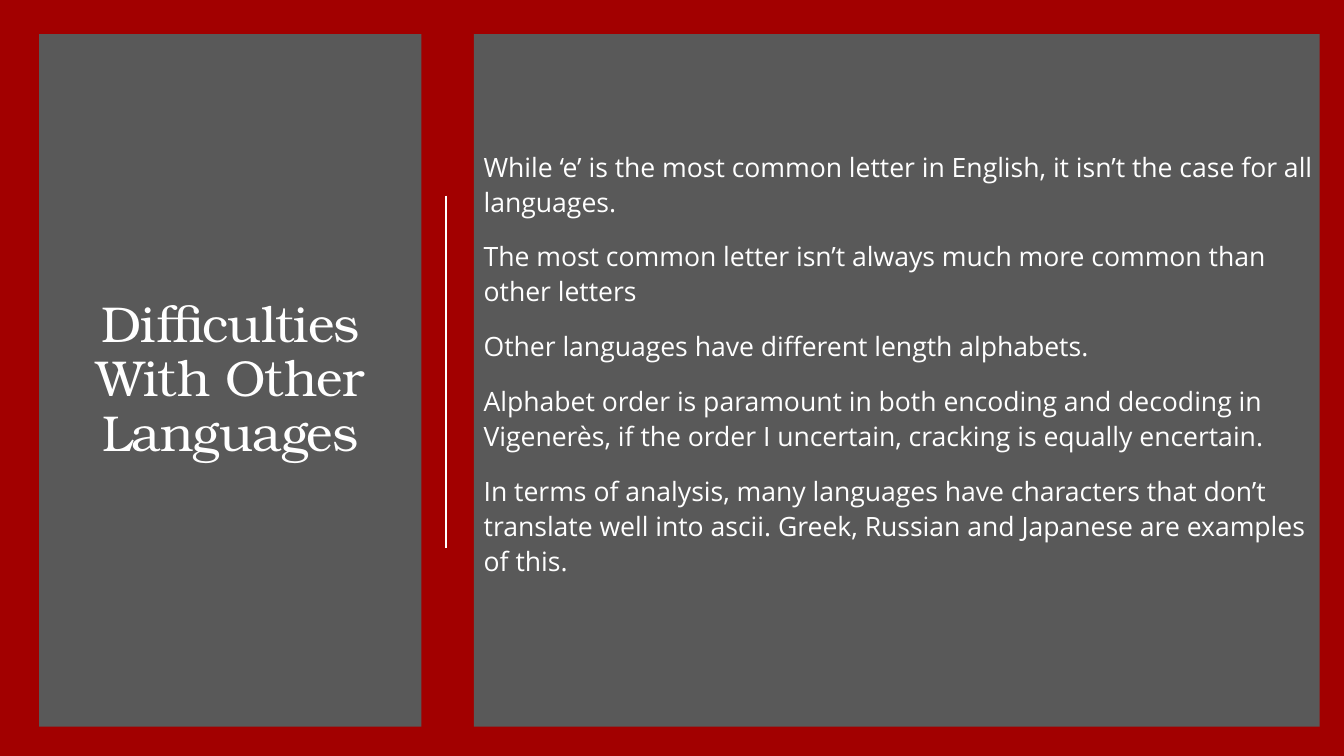
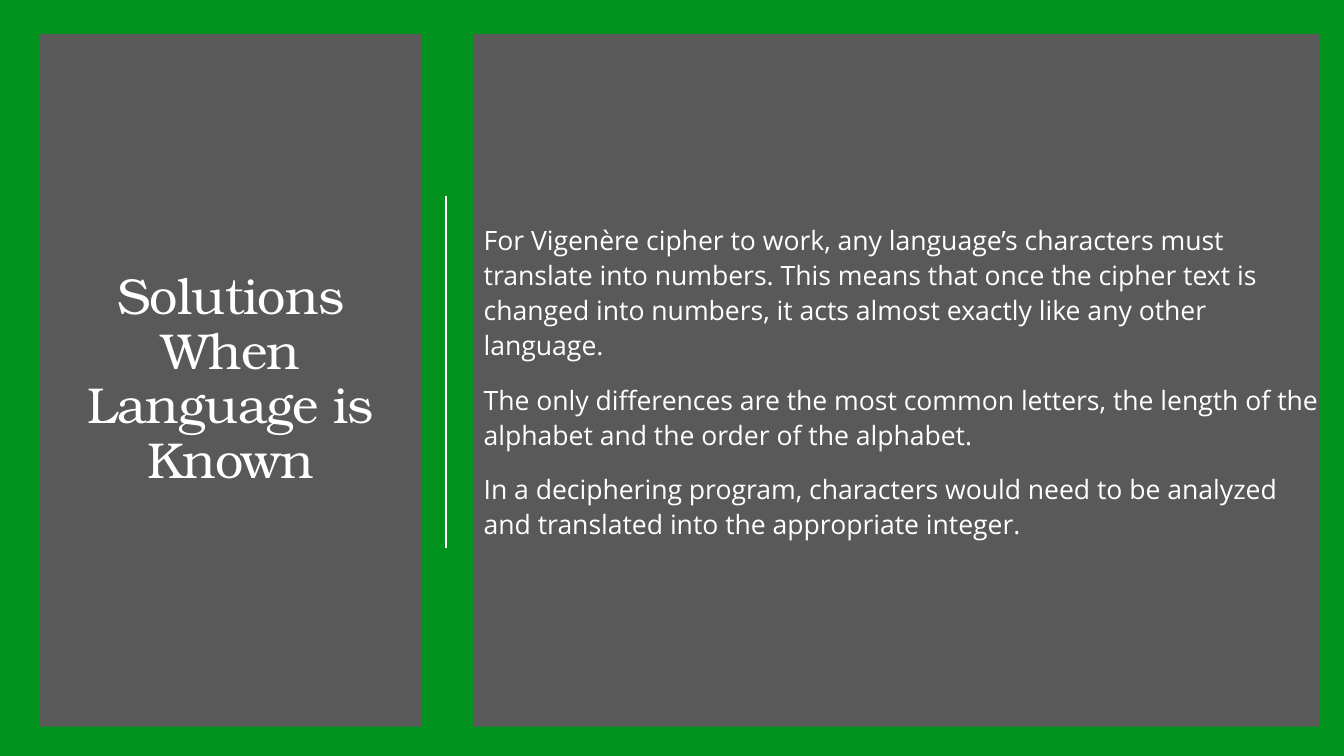
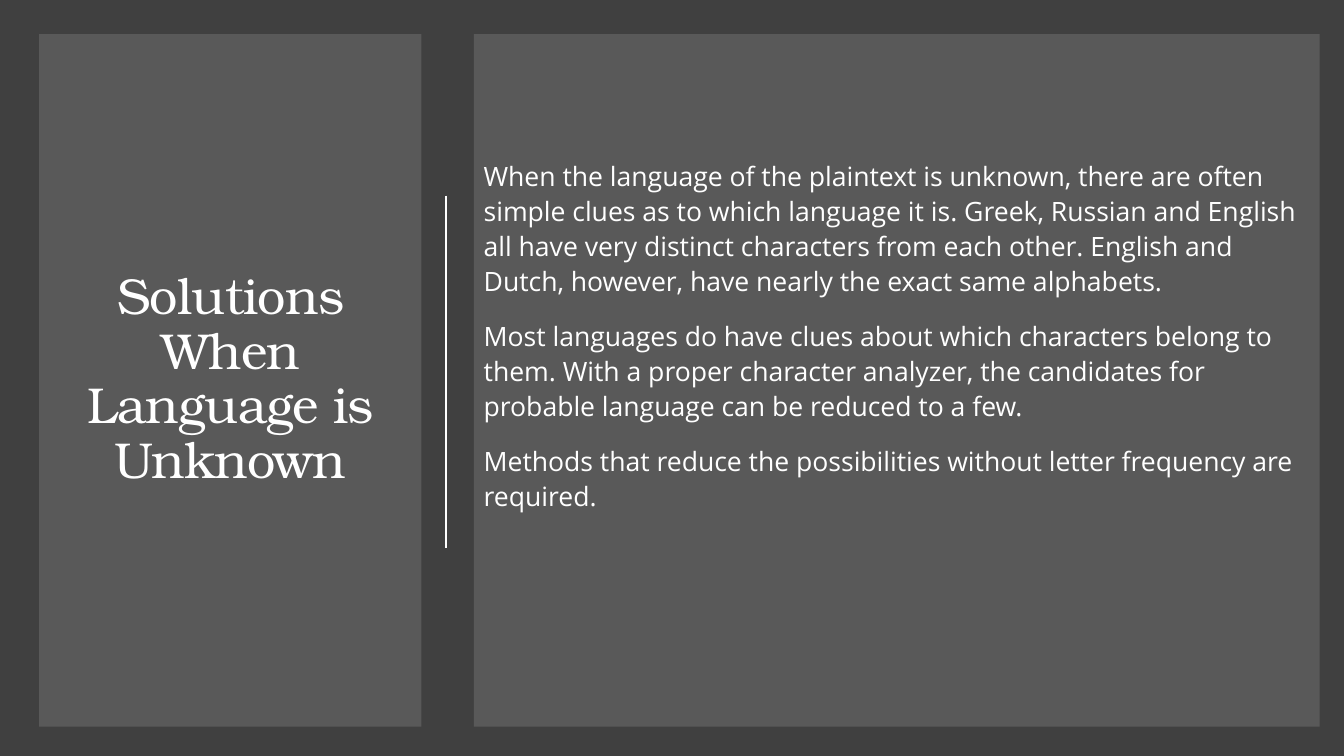
import pptx
import pptx.util
import pptx.dml.color
import pptx.enum.shapes
import pptx.enum.text
import pptx.oxml.ns
import lxml.etree

Cm, Pt = pptx.util.Cm, pptx.util.Pt

COLORS = {
    "red": "A20000",
    "green": "00921C",
    "dark": "404040",
    "panel": "595959",
    "text": "FFFFFF",
}
TITLE_FONT, BODY_FONT = "TeX Gyre Bonum", "Open Sans"

SLIDES = [
    {
        "back": "red",
        "title": "Difficulties With Other Languages",
        "lift": 0.93,
        "body": [
            "While ‘e’ is the most common letter in English, it isn’t the case for all languages.",
            "The most common letter isn’t always much more common than other letters",
            "Other languages have different length alphabets.",
            "Alphabet order is paramount in both encoding and decoding in Vigenerès, "
            "if the order I uncertain, cracking is equally encertain.",
            "In terms of analysis, many languages have characters that don’t translate well "
            "into ascii. Greek, Russian and Japanese are examples of this.",
        ],
    },
    {
        "back": "green",
        "title": "Solutions When Language is Known",
        "lift": 0,
        "body": [
            "For Vigenère cipher to work, any language’s characters must translate into numbers. "
            "This means that once the cipher text is changed into numbers, it acts almost exactly "
            "like any other language.",
            "The only differences are the most common letters, the length of the alphabet "
            "and the order of the alphabet.",
            "In a deciphering program, characters would need to be analyzed and translated "
            "into the appropriate integer.",
        ],
    },
    {
        "back": "dark",
        "title": "Solutions When Language is Unknown",
        "lift": 2.32,
        "body": [
            "When the language of the plaintext is unknown, there are often simple clues as to "
            "which language it is. Greek, Russian and English all have very distinct characters "
            "from each other. English and Dutch, however, have nearly the exact same alphabets.",
            "Most languages do have clues about which characters belong to them. With a proper "
            "character analyzer, the candidates for probable language can be reduced to a few.",
            "Methods that reduce the possibilities without letter frequency are required.",
        ],
    },
]

PANEL_TOP, PANEL_HEIGHT = 0.86, 17.45
TITLE_LEFT, TITLE_WIDTH = 0.99, 9.63
BODY_LEFT, BODY_WIDTH = 11.94, 21.32
RULE_X, RULE_TOP, RULE_BOTTOM = 11.23, 4.93, 13.82


def rgb(name):
    return pptx.dml.color.RGBColor.from_string(COLORS[name])


def add_panel(s, left, width):
    sp = s.shapes.add_shape(pptx.enum.shapes.MSO_SHAPE.RECTANGLE,
                            Cm(left), Cm(PANEL_TOP), Cm(width), Cm(PANEL_HEIGHT))
    sp.shadow.inherit = False
    sp.fill.solid()
    sp.fill.fore_color.rgb = rgb("panel")
    sp.line.fill.background()
    tf = sp.text_frame
    tf.word_wrap = True
    tf.vertical_anchor = pptx.enum.text.MSO_ANCHOR.MIDDLE
    return tf


def add_run(p, text, font, size):
    r = p.add_run()
    r.text = text
    r.font.name = font
    r.font.size = Pt(size)
    r.font.color.rgb = rgb("text")
    return r


def add_title(s, text):
    p = add_panel(s, TITLE_LEFT, TITLE_WIDTH).paragraphs[0]
    p.alignment = pptx.enum.text.PP_ALIGN.CENTER
    p.line_spacing = 0.9
    r = add_run(p, text, TITLE_FONT, 36)
    r.font._element.set("spc", "-50")


def add_rule(s):
    rule = s.shapes.add_connector(pptx.enum.shapes.MSO_CONNECTOR.STRAIGHT,
                                  Cm(RULE_X), Cm(RULE_TOP), Cm(RULE_X), Cm(RULE_BOTTOM))
    rule.line.color.rgb = rgb("text")
    rule.line.width = Pt(1.5)
    lxml.etree.SubElement(rule._element.spPr, pptx.oxml.ns.qn("a:effectLst"))


def add_body(s, paragraphs, lift):
    tf = add_panel(s, BODY_LEFT, BODY_WIDTH)
    tf.margin_left, tf.margin_right = Cm(0.25), 0
    tf.margin_top, tf.margin_bottom = Cm(0.13), Cm(0.13 + lift)
    for i, text in enumerate(paragraphs):
        p = tf.add_paragraph() if i else tf.paragraphs[0]
        p.alignment = pptx.enum.text.PP_ALIGN.LEFT
        p.line_spacing = 1.1
        p.space_before, p.space_after = Pt(12), Pt(2)
        add_run(p, text, BODY_FONT, 19)


prs = pptx.Presentation()
prs.slide_width, prs.slide_height = Cm(33.87), Cm(19.05)
for content in SLIDES:
    s = prs.slides.add_slide(prs.slide_layouts[6])
    s.background.fill.solid()
    s.background.fill.fore_color.rgb = rgb(content["back"])
    add_title(s, content["title"])
    add_rule(s)
    add_body(s, content["body"], content["lift"])
prs.save("out.pptx")
